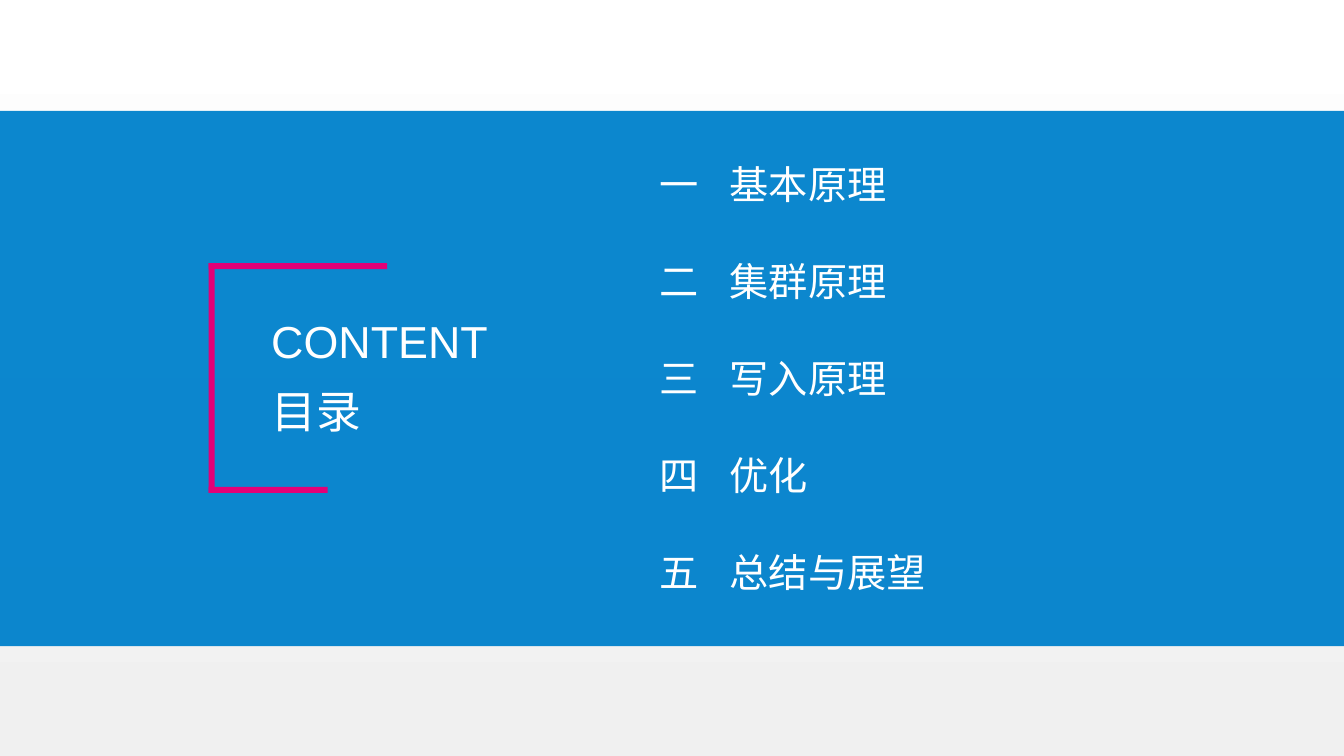
from dataclasses import dataclass

from lxml import etree
from pptx import Presentation
from pptx.dml.color import RGBColor
from pptx.enum.shapes import MSO_SHAPE
from pptx.enum.text import MSO_ANCHOR, MSO_AUTO_SIZE, PP_ALIGN
from pptx.oxml.ns import qn
from pptx.util import Inches, Pt

RECT = MSO_SHAPE.RECTANGLE
TOP = MSO_ANCHOR.TOP
GROW = MSO_AUTO_SIZE.SHAPE_TO_FIT_TEXT
LEFT = PP_ALIGN.LEFT


@dataclass(frozen=True)
class Theme:
    band: str = "0081CC"
    accent: str = "E40077"
    text: str = "FFFFFF"
    fade: tuple[str, str] = ("FFFFFF", "F0F0F0")
    head: int = 32
    item: int = 28
    latin: str = "Arial"
    asian: str = "Noto Sans CJK SC"


@dataclass(frozen=True)
class Box:
    left: float
    top: float
    width: float
    height: float

    def emu(self) -> list:
        return [Inches(v) for v in (self.left, self.top, self.width, self.height)]


THEME = Theme()
ITEMS = [("一", "基本原理"), ("二", "集群原理"), ("三", "写入原理"),
         ("四", "优化"), ("五", "总结与展望")]
FIRST, PITCH = 1.54, 0.9625
BARS = [Box(2.07, 2.61, 1.77, 0.06),
        Box(2.07, 2.61, 0.06, 2.28),
        Box(2.07, 4.83, 1.18, 0.06)]


def add_rect(slide, box: Box, color: str, alpha: int = 100) -> None:
    shape = slide.shapes.add_shape(RECT, *box.emu())
    shape.shadow.inherit = False
    shape.fill.solid()
    shape.fill.fore_color.rgb = RGBColor.from_string(color)
    shape.line.fill.background()
    if alpha < 100:
        tint = shape.fill._xPr.find(".//" + qn("a:srgbClr"))
        etree.SubElement(tint, qn("a:alpha"), val=str(alpha * 1000))


def style(para, size: int, face: str) -> None:
    para.alignment = LEFT
    font = para.font
    font.size = Pt(size)
    font.color.rgb = RGBColor.from_string(THEME.text)
    font.name = face
    props = para._p.pPr.find(qn("a:defRPr"))
    etree.SubElement(props, qn("a:ea"), typeface=THEME.asian)


def add_text(slide, box: Box, text: str, face: str, wrap: bool) -> None:
    frame = slide.shapes.add_textbox(*box.emu()).text_frame
    frame.word_wrap = wrap
    frame.auto_size = GROW
    frame.text = text
    style(frame.paragraphs[0], THEME.item, face)


def set_title(slide, box: Box) -> None:
    title = slide.shapes.title
    title.left, title.top, title.width, title.height = box.emu()
    frame = title.text_frame
    frame.text = "CONTENT\n目录"
    frame.word_wrap = True
    frame.auto_size = GROW
    frame.vertical_anchor = TOP
    for para, face in zip(frame.paragraphs, (THEME.latin, THEME.asian)):
        para.space_before = Pt(0)
        para.space_after = Pt(12)
        style(para, THEME.head, face)


def set_back(slide) -> None:
    fill = slide.background.fill
    fill.gradient()
    fill.gradient_angle = 270
    for stop, color, place in zip(fill.gradient_stops, THEME.fade, (0, 1)):
        stop.color.rgb = RGBColor.from_string(color)
        stop.position = place


def main() -> None:
    deck = Presentation()
    deck.slide_width, deck.slide_height = Inches(13.33), Inches(7.5)
    slide = deck.slides.add_slide(deck.slide_layouts[5])

    # Background and band, with the title kept in front
    set_back(slide)
    add_rect(slide, Box(0, 1.1, 13.33, 5.31), THEME.band, 95)
    set_title(slide, Box(2.59, 3.06, 2.36, 1.38))
    slide.shapes._spTree.append(slide.shapes.title._element)

    # Numbered contents
    for row, (number, label) in enumerate(ITEMS):
        top = FIRST + row * PITCH
        add_text(slide, Box(7.14, top, 2.95, 0.57), label, THEME.asian, True)
        add_text(slide, Box(6.44, top, 0.59, 0.57), number, THEME.latin, False)

    # Open bracket beside the title
    for bar in BARS:
        add_rect(slide, bar, THEME.accent)

    deck.save("out.pptx")


if __name__ == "__main__":
    main()
